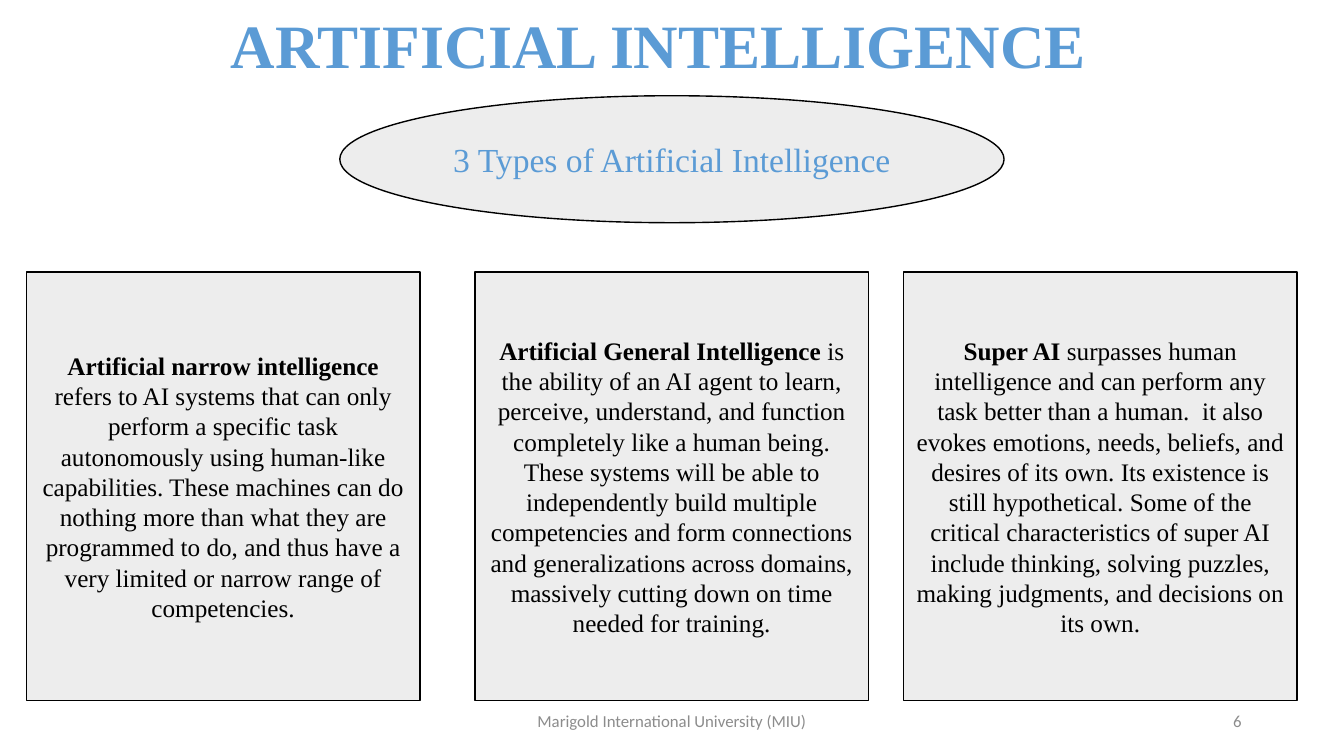
from pptx import Presentation
from pptx.dml.color import RGBColor as RGB
from pptx.enum.shapes import MSO_SHAPE as SHAPE
from pptx.enum.text import MSO_ANCHOR as ANCHOR, PP_ALIGN as ALIGN
from pptx.util import Pt

COLORS = {"blue": "5B9BD5", "panel": "EDEDED", "black": "000000", "gray": "8C8C8C"}
SERIF, SANS = "Times New Roman", "Calibri"

AI_TYPES = [
    ("Artificial narrow intelligence ",
     "refers to AI systems that can only perform a specific task autonomously using "
     "human-like capabilities. These machines can do nothing more than what they are "
     "programmed to do, and thus have a very limited or narrow range of competencies."),
    ("Artificial General Intelligence ",
     "is the ability of an AI agent to learn, perceive, understand, and function "
     "completely like a human being. These systems will be able to independently build "
     "multiple competencies and form connections and generalizations across domains, "
     "massively cutting down on time needed for training."),
    ("Super AI ",
     "surpasses human intelligence and can perform any task better than a human. "
     " it also evokes emotions, needs, beliefs, and desires of its own. Its existence is "
     "still hypothetical. Some of the critical characteristics of super AI include "
     "thinking, solving puzzles, making judgments, and decisions on its own."),
]


def add_run(p, text, size=18, font=SERIF, color="black", bold=False):
    r = p.add_run()
    r.text = text
    r.font.size, r.font.name, r.font.bold = Pt(size), font, bold
    r.font.color.rgb = RGB.from_string(COLORS[color])


def first_paragraph(sp, align):
    tf = sp.text_frame
    tf.word_wrap = True
    tf.vertical_anchor = ANCHOR.MIDDLE
    p = tf.paragraphs[0]
    p.alignment = align
    return p


def add_label(s, box, text, align=ALIGN.CENTER, spacing=1.0, **fmt):
    sp = s.shapes.add_textbox(*map(Pt, box))
    p = first_paragraph(sp, align)
    p.line_spacing = spacing
    add_run(p, text, **fmt)


def add_panel(s, kind, box):
    sp = s.shapes.add_shape(kind, *map(Pt, box))
    sp.shadow.inherit = False
    sp.fill.solid()
    sp.fill.fore_color.rgb = RGB.from_string(COLORS["panel"])
    sp.line.color.rgb = RGB.from_string(COLORS["black"])
    sp.line.width = Pt(1)
    return first_paragraph(sp, ALIGN.CENTER)


def add_header(s, x, y, w, h):
    # Title
    add_label(s, (x, y, w, h), "ARTIFICIAL INTELLIGENCE", align=ALIGN.LEFT,
              spacing=0.9, size=44, color="blue", bold=True)
    # Topic ellipse
    p = add_panel(s, SHAPE.OVAL, (x + 85, y + 61.2, 474.5, 90.7))
    add_run(p, "3 Types of Artificial Intelligence", size=24, color="blue")


def add_type_cards(s, x, y, w, h):
    card_w = 281.3
    for offset, (name, description) in zip((0, 320.4, w - card_w), AI_TYPES):
        p = add_panel(s, SHAPE.RECTANGLE, (x + offset, y, card_w, h))
        add_run(p, name, bold=True)
        add_run(p, description)


def add_footer(s, x, y, w, h):
    fmt = dict(size=12, font=SANS, color="gray")
    number_w = 216
    add_label(s, (x, y, 324, h), "Marigold International University (MIU)", **fmt)
    add_label(s, (x + w - number_w, y, number_w, h), "6", align=ALIGN.RIGHT, **fmt)


def main():
    prs = Presentation()
    prs.slide_width, prs.slide_height = Pt(960), Pt(540)
    s = prs.slides.add_slide(prs.slide_layouts[6])
    add_header(s, 157.7, 7.2, 644.4, 54.7)
    add_footer(s, 318, 500.5, 576, 28.8)
    add_type_cards(s, 18.8, 194.2, 907.8, 306.4)
    prs.save("out.pptx")


if __name__ == "__main__":
    main()
